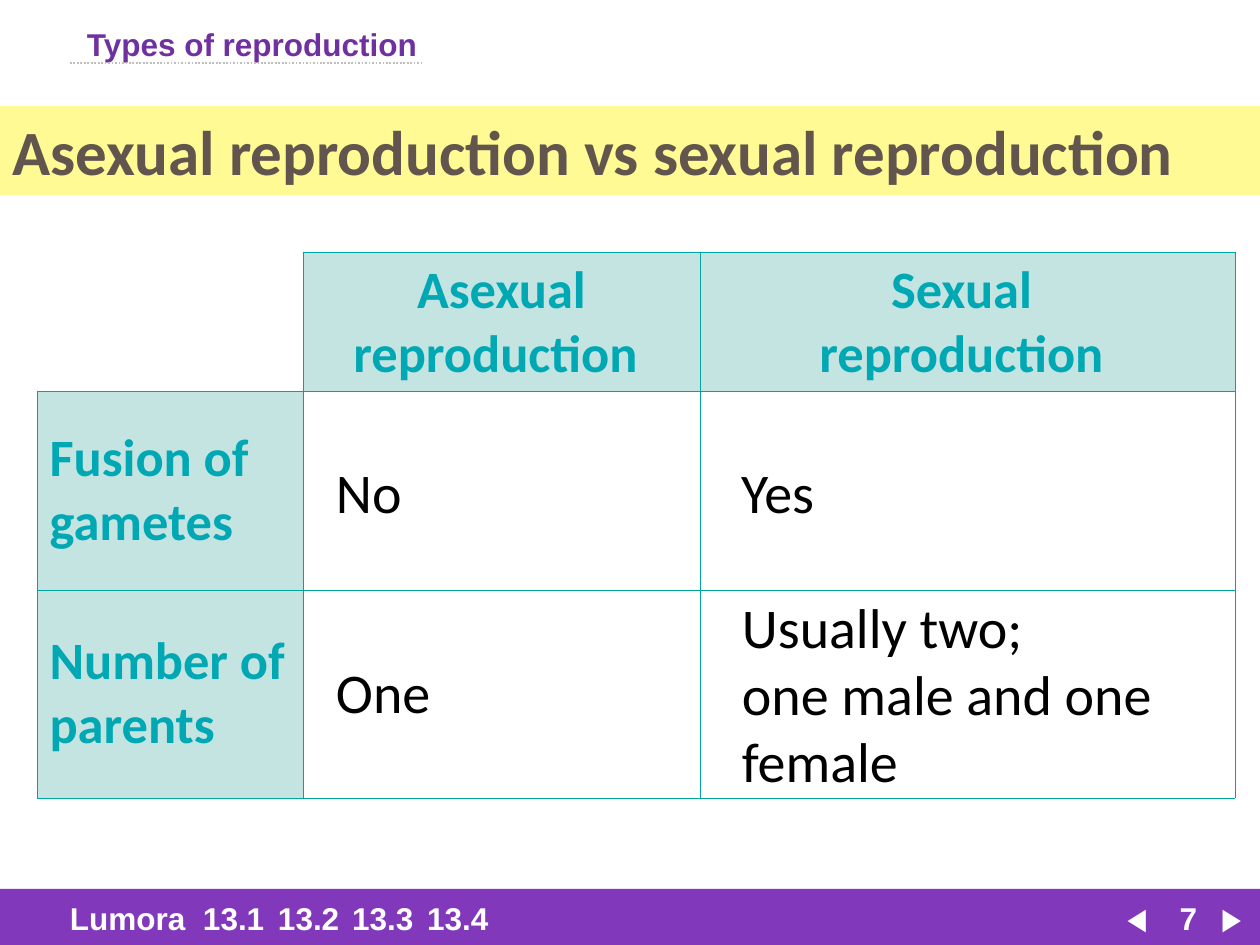
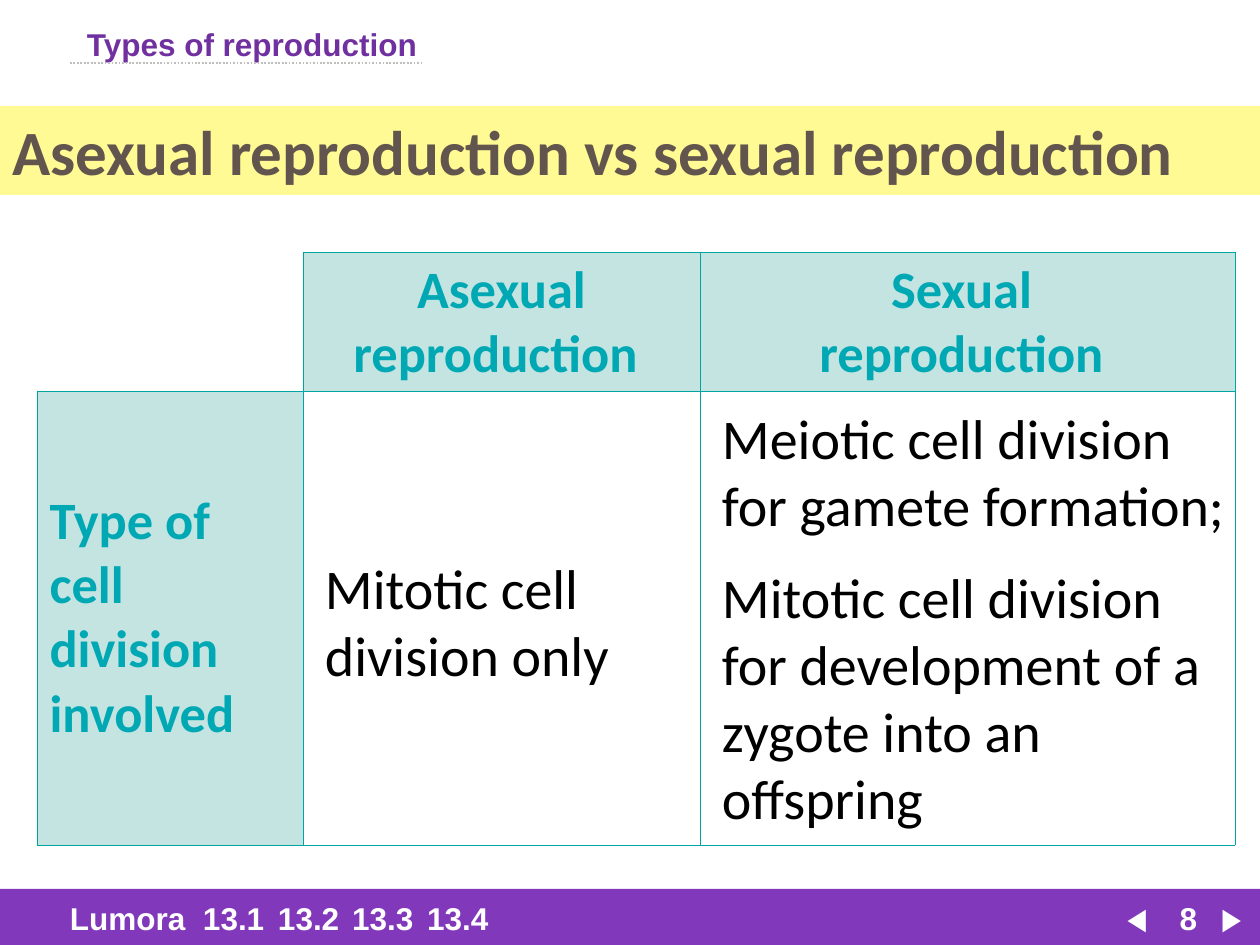
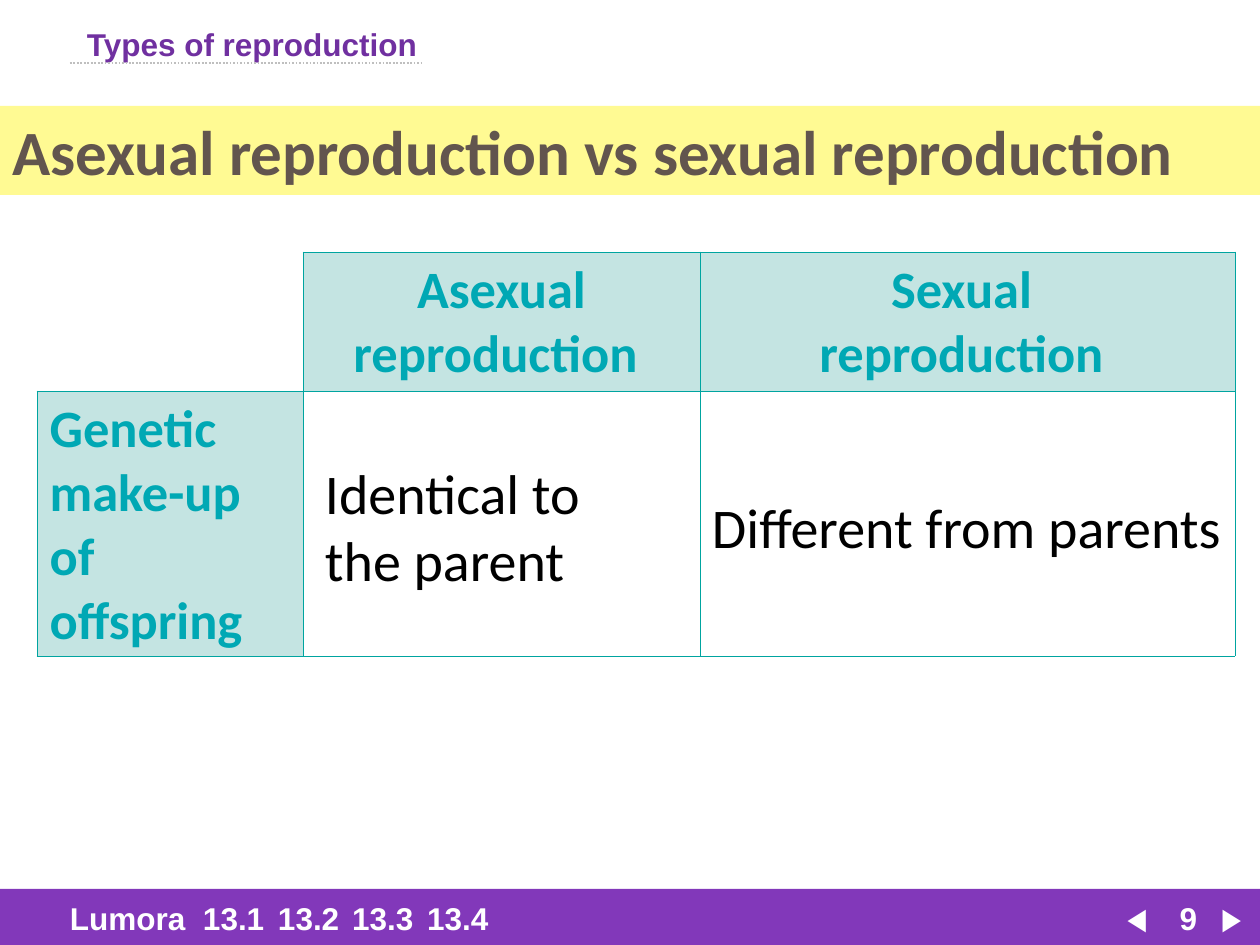
"""Build three slides comparing asexual and sexual reproduction."""
import pptx
import pptx.dml.color
import pptx.enum.dml
import pptx.enum.shapes
import pptx.enum.text
import pptx.oxml
import pptx.oxml.ns
import pptx.util

EMU_PER_PX = 914400 / 126
COLOURS = {
    "topic": "7030A0",
    "underline": "BFBFBF",
    "footer": "8238BA",
    "white": "FFFFFF",
    "band": "FFFA93",
    "title": "62554E",
    "border": "00A4A0",
    "heading": "00A8B4",
    "heading_fill": "C4E4E2",
    "answer": "000000",
}
ALIGN = pptx.enum.text.PP_ALIGN
MIDDLE = pptx.enum.text.MSO_ANCHOR.MIDDLE
COLUMN_WIDTHS = (266, 397, 535)
HEADER_HEIGHT = 139
HEADERS = ("", "Asexual reproduction ", "Sexual \nreproduction ")
FIRST_PAGE = 7
TOPICS = [
    {
        "rows": [("Fusion of gametes", 199), ("Number of parents", 208)],
        "answers": [
            (("No",), (323, 451, 110, 81), {}),
            (("Yes",), (728, 451, 120, 81), {}),
            (("One",), (323, 651, 140, 81), {}),
            (("Usually two;", "one male and one female"), (729, 586, 466, 214), {}),
        ],
    },
    {
        "rows": [("Type of\ncell division involved", 454)],
        "answers": [
            (("Mitotic cell division only",), (312, 547, 364, 147), {}),
            (("Meiotic cell division for gamete formation;",), (709, 397, 539, 147), {}),
            (("Mitotic cell division for development of a zygote into an offspring",),
             (709, 556, 515, 282), {}),
        ],
    },
    {
        "rows": [("Genetic make-up of offspring", 265)],
        "answers": [
            (("Identical to the parent",), (302, 452, 364, 147), {"indent": 10}),
            (("Different from parents",), (689, 486, 546, 147), {"indent": 10}),
        ],
    },
]


def px(length):
    """Turn a length in px into EMU."""
    return pptx.util.Emu(round(length * EMU_PER_PX))


def rgb(name):
    """Return the named colour."""
    return pptx.dml.color.RGBColor.from_string(COLOURS[name])


def write(paragraph, text, size, colour, font="Calibri", bold=True, align=ALIGN.LEFT):
    """Write text into a paragraph, one run for each forced line."""
    paragraph.alignment = align
    for number, line in enumerate(text.split("\n")):
        if number:
            paragraph.add_line_break()
        run = paragraph.add_run()
        run.text = line
        run.font.name = font
        run.font.size = pptx.util.Pt(size)
        run.font.bold = bold
        run.font.color.rgb = rgb(colour)


def add_text(slide, lines, box, size, colour, indent=0, inset=13, **style):
    """Add a text box with one paragraph for each line."""
    frame = slide.shapes.add_textbox(*map(px, box)).text_frame
    frame.word_wrap = True
    frame.auto_size = pptx.enum.text.MSO_AUTO_SIZE.SHAPE_TO_FIT_TEXT
    frame.margin_left = frame.margin_right = px(inset)
    for number, line in enumerate(lines):
        paragraph = frame.add_paragraph() if number else frame.paragraphs[0]
        if indent:
            paragraph._p.get_or_add_pPr().set("marL", str(px(indent)))
        write(paragraph, line, size, colour, **style)


def add_band(slide, top, height, colour):
    """Add a plain band across the slide and return it."""
    band = slide.shapes.add_shape(
        pptx.enum.shapes.MSO_SHAPE.RECTANGLE, 0, px(top), px(1260), px(height))
    band.shadow.inherit = False
    band.fill.solid()
    band.fill.fore_color.rgb = rgb(colour)
    band.line.fill.background()
    return band


def add_topic(slide):
    """Add the topic name with its dotted underline."""
    add_text(slide, ["Types of reproduction"], (74, 19, 367, 50), 18, "topic", font="Arial")
    underline = slide.shapes.add_connector(
        pptx.enum.shapes.MSO_CONNECTOR.STRAIGHT, px(70), px(63), px(422), px(63))
    underline.line.color.rgb = rgb("underline")
    underline.line.width = pptx.util.Pt(1)
    underline.line.dash_style = pptx.enum.dml.MSO_LINE.ROUND_DOT
    underline._element.spPr.append(pptx.oxml.parse_xml(
        f"<a:effectLst {pptx.oxml.ns.nsdecls('a')}/>"))


def add_footer(slide, page):
    """Add the footer band with its section numbers and page controls."""
    add_band(slide, 889, 58, "footer")
    entries = [
        ("Lumora", 57, 150, {}),
        (str(page), 1150, 77, {"align": ALIGN.CENTER}),
        ("◀", 1114, 62, {"bold": False}),
        ("▶", 1208, 48, {"bold": False}),
    ]
    entries += [(f"13.{section + 1}", 198 + round(section * 74.67), 79, {"inset": 5})
                for section in range(4)]
    for text, left, width, style in entries:
        add_text(slide, [text], (left, 893, width, 50), 18, "white", font="Arial", **style)


def add_title(slide):
    """Add the title on its band."""
    frame = add_band(slide, 106, 89, "band").text_frame
    frame.word_wrap = True
    frame.vertical_anchor = MIDDLE
    write(frame.paragraphs[0], "Asexual reproduction vs sexual reproduction", 36, "title")


def set_borders(cell, hidden=()):
    """Draw the cell's four borders, except the hidden sides."""
    properties = cell._tc.get_or_add_tcPr()
    for position, side in enumerate(("L", "R", "T", "B")):
        paint = ("<a:noFill/>" if side in hidden else
                 f'<a:solidFill><a:srgbClr val="{COLOURS["border"]}"/></a:solidFill>')
        properties.insert(position, pptx.oxml.parse_xml(
            f'<a:ln{side} {pptx.oxml.ns.nsdecls("a")} w="{pptx.util.Pt(0.45)}">'
            f"{paint}</a:ln{side}>"))


def add_comparison(slide, rows):
    """Add the comparison table with its headings."""
    heights = [HEADER_HEIGHT] + [height for _, height in rows]
    headings = [HEADERS] + [(label, "", "") for label, _ in rows]
    table = slide.shapes.add_table(
        len(heights), len(COLUMN_WIDTHS), px(37), px(252),
        px(sum(COLUMN_WIDTHS)), px(sum(heights))).table
    table.first_row = table.horz_banding = False
    for column, width in zip(table.columns, COLUMN_WIDTHS):
        column.width = px(width)
    for r, (height, texts) in enumerate(zip(heights, headings)):
        table.rows[r].height = px(height)
        for c, text in enumerate(texts):
            cell = table.cell(r, c)
            cell.vertical_anchor = MIDDLE
            if text:
                cell.fill.solid()
                cell.fill.fore_color.rgb = rgb("heading_fill")
                write(cell.text_frame.paragraphs[0], text, 30, "heading",
                      align=ALIGN.LEFT if r else ALIGN.CENTER)
            else:
                cell.fill.background()
            set_borders(cell, () if r or c else ("L", "T"))


def main():
    """Build and save the slides."""
    deck = pptx.Presentation()
    deck.slide_width, deck.slide_height = px(1260), px(945)
    for page, topic in enumerate(TOPICS, FIRST_PAGE):
        slide = deck.slides.add_slide(deck.slide_layouts[6])
        add_topic(slide)
        add_footer(slide, page)
        add_title(slide)
        add_comparison(slide, topic["rows"])
        for lines, box, options in topic["answers"]:
            add_text(slide, lines, box, 32, "answer", bold=False, **options)
    deck.save("out.pptx")


if __name__ == "__main__":
    main()
